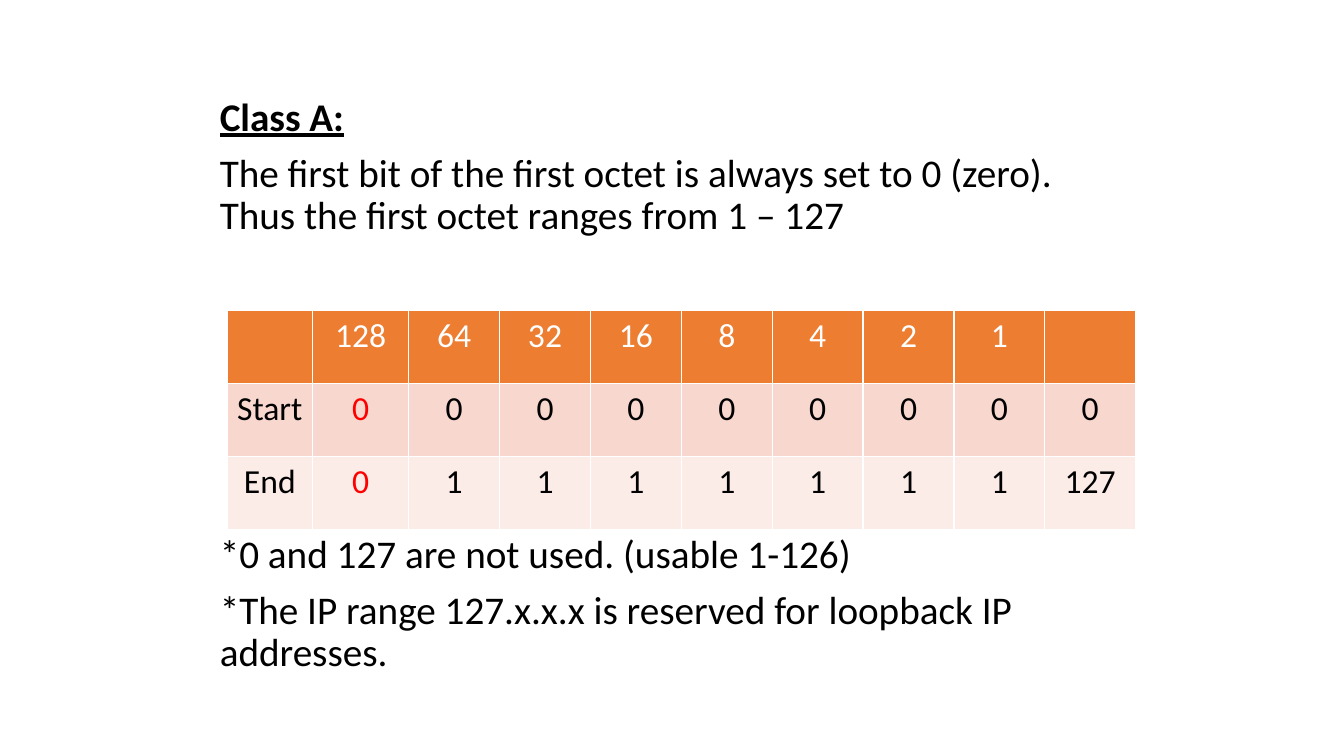
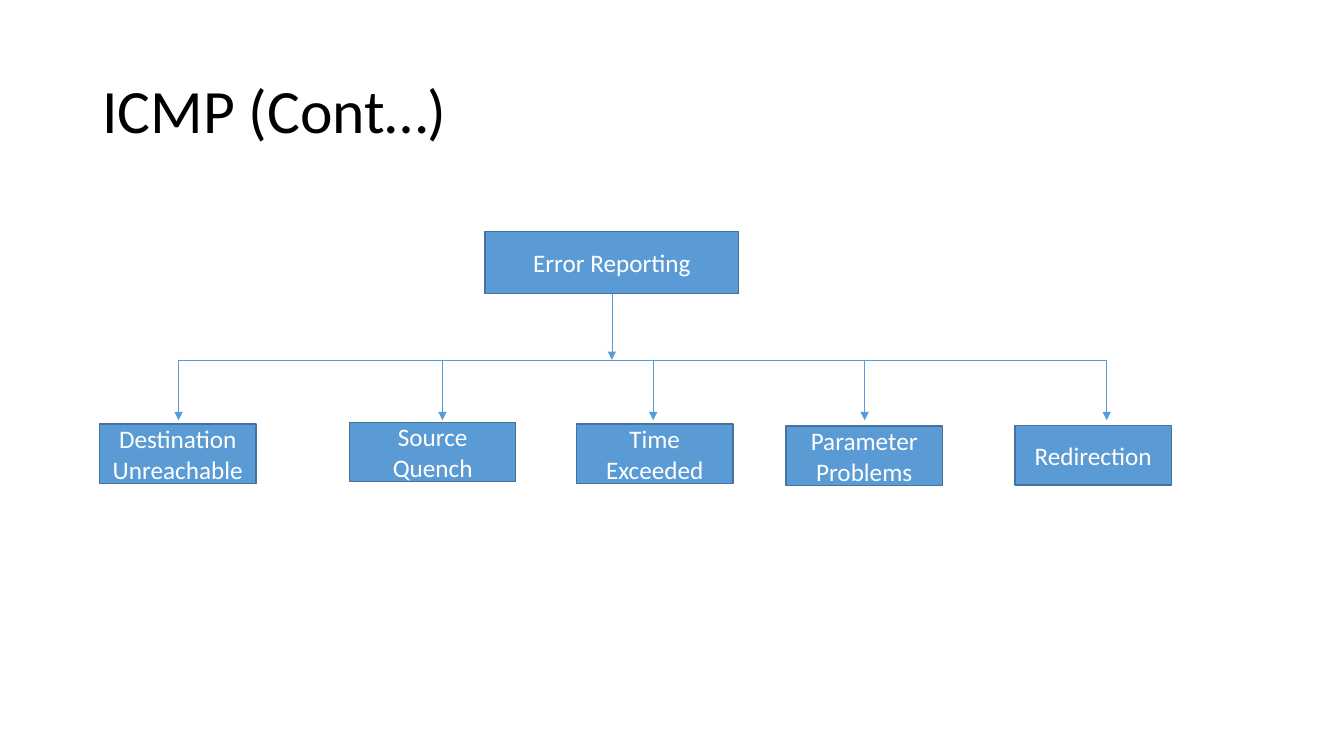
import pptx
import pptx.dml.color
import pptx.enum.shapes
import pptx.enum.text
import pptx.oxml.ns
import pptx.util
from lxml import etree
from pptx.dml.color import RGBColor
from pptx.util import Cm, Pt

BLACK = RGBColor(0x00, 0x00, 0x00)
WHITE = RGBColor(0xFF, 0xFF, 0xFF)
RED = RGBColor(0xFF, 0x00, 0x00)
ORANGE = RGBColor(0xED, 0x7D, 0x31)
PEACH = RGBColor(0xF8, 0xD7, 0xCE)
PALE_PEACH = RGBColor(0xFC, 0xEC, 0xE8)
BLUE = RGBColor(0x5B, 0x9B, 0xD5)
DARK_BLUE = RGBColor(0x43, 0x73, 0x9E)

CENTERED = {"alignment": pptx.enum.text.PP_ALIGN.CENTER}
TIGHT = {"line_spacing": 0.9}
SPACED = {"line_spacing": 0.9, "space_before": Pt(10)}


def write(frame, text, size, color, layout, anchor=None):
    """Fill a text frame, one paragraph per line of text."""
    frame.word_wrap = True
    frame.vertical_anchor = anchor
    frame.text = text
    for index, paragraph in enumerate(frame.paragraphs):
        for name, value in layout.items():
            if index or name != "space_before":
                setattr(paragraph, name, value)
        for run in paragraph.runs:
            font_values = {"name": "Calibri", "size": Pt(size), "bold": False}
            for name, value in font_values.items():
                setattr(run.font, name, value)
            run.font.color.rgb = color


def add_line(slide, start, end, arrow=True):
    line = slide.shapes.add_connector(
        pptx.enum.shapes.MSO_CONNECTOR.STRAIGHT, *map(Cm, start + end))
    line.line.color.rgb = BLUE
    line.line.width = Pt(0.5)
    if arrow:
        outline = line.line._get_or_add_ln()
        etree.SubElement(outline, pptx.oxml.ns.qn("a:tailEnd"), type="triangle")
    etree.SubElement(line._element.spPr, pptx.oxml.ns.qn("a:effectLst"))
    return line


MIDDLE = pptx.enum.text.MSO_ANCHOR.MIDDLE
deck = pptx.Presentation()
deck.slide_width, deck.slide_height = Cm(33.87), Cm(19.05)
blank = deck.slide_layouts[6]

# Class A address range
class_a = deck.slides.add_slide(blank)
passages = [
    (2.33, 5, "Class A:\nThe first bit of the first octet is always set to 0 (zero). "
              "Thus the first octet ranges from 1 – 127"),
    (13.34, 4.44, "*0 and 127 are not used. (usable 1-126)\n"
                  "*The IP range 127.x.x.x is reserved for loopback IP addresses."),
]
for top, height, text in passages:
    passage = class_a.shapes.add_textbox(Cm(5.29), Cm(top), Cm(23.07), Cm(height))
    write(passage.text_frame, text, 28, BLACK, SPACED)
    if text.startswith("Class A:"):
        heading_font = passage.text_frame.paragraphs[0].runs[0].font
        for name in ("bold", "underline"):
            setattr(heading_font, name, True)

bit_values = [str(2 ** bit) for bit in range(7, -1, -1)]
octet_rows = [
    (ORANGE, WHITE, ["", *bit_values, ""]),
    (PEACH, BLACK, ["Start", *["0"] * 8, "0"]),
    (PALE_PEACH, BLACK, ["End", "0", *["1"] * 7, "127"]),
]
octet_table = class_a.shapes.add_table(
    3, 10, Cm(5.72), Cm(7.82), Cm(22.86), Cm(5.52)).table
for column, width in zip(octet_table.columns, [2.16, 2.42] + [2.29] * 8):
    column.width = Cm(width)
for row_index, (fill, ink, values) in enumerate(octet_rows):
    octet_table.rows[row_index].height = Cm(1.84)
    for column_index, value in enumerate(values):
        cell = octet_table.cell(row_index, column_index)
        cell.fill.solid()
        cell.fill.fore_color.rgb = fill
        fixed_bit = row_index > 0 and column_index == 1
        write(cell.text_frame, value, 24, RED if fixed_bit else ink, CENTERED)

# ICMP error reporting tree
icmp = deck.slides.add_slide(blank)
title = icmp.shapes.add_textbox(Cm(2.33), Cm(1.01), Cm(29.21), Cm(3.68))
write(title.text_frame, "ICMP (Cont…)", 44, BLACK, TIGHT, MIDDLE)

BUS_TOP, ARROW_TIP = 9.07, 10.59
ROOT_CENTER, ROOT_BOTTOM = 15.42, 7.4
messages = [  # text, left, top, width, height, x of its arrow
    ("Error Reporting", 12.22, 5.84, 6.4, 1.56, None),
    ("Destination Unreachable", 2.51, 10.69, 3.94, 1.5, 4.5),
    ("Source Quench", 8.81, 10.64, 4.19, 1.5, 11.15),
    ("Time Exceeded", 14.53, 10.69, 3.94, 1.5, 16.46),
    ("Parameter\nProblems", 19.81, 10.74, 3.94, 1.5, 21.79),
    ("Redirection", 25.58, 10.72, 3.94, 1.5, 27.89),
]
add_line(icmp, (messages[1][-1], BUS_TOP), (messages[-1][-1], BUS_TOP), arrow=False)
for text, left, top, width, height, arrow_x in messages:
    box = icmp.shapes.add_shape(
        pptx.enum.shapes.MSO_SHAPE.RECTANGLE, Cm(left), Cm(top), Cm(width), Cm(height))
    box.shadow.inherit = False
    box.fill.solid()
    box.fill.fore_color.rgb = BLUE
    box.line.color.rgb = DARK_BLUE
    box.line.width = Pt(1)
    write(box.text_frame, text, 18, WHITE, CENTERED, MIDDLE)
    if arrow_x is None:
        stem = add_line(icmp, (ROOT_CENTER, ROOT_BOTTOM), (ROOT_CENTER, BUS_TOP))
        stem.begin_connect(box, 2)
    else:
        add_line(icmp, (arrow_x, BUS_TOP), (arrow_x, ARROW_TIP))

deck.save("out.pptx")
